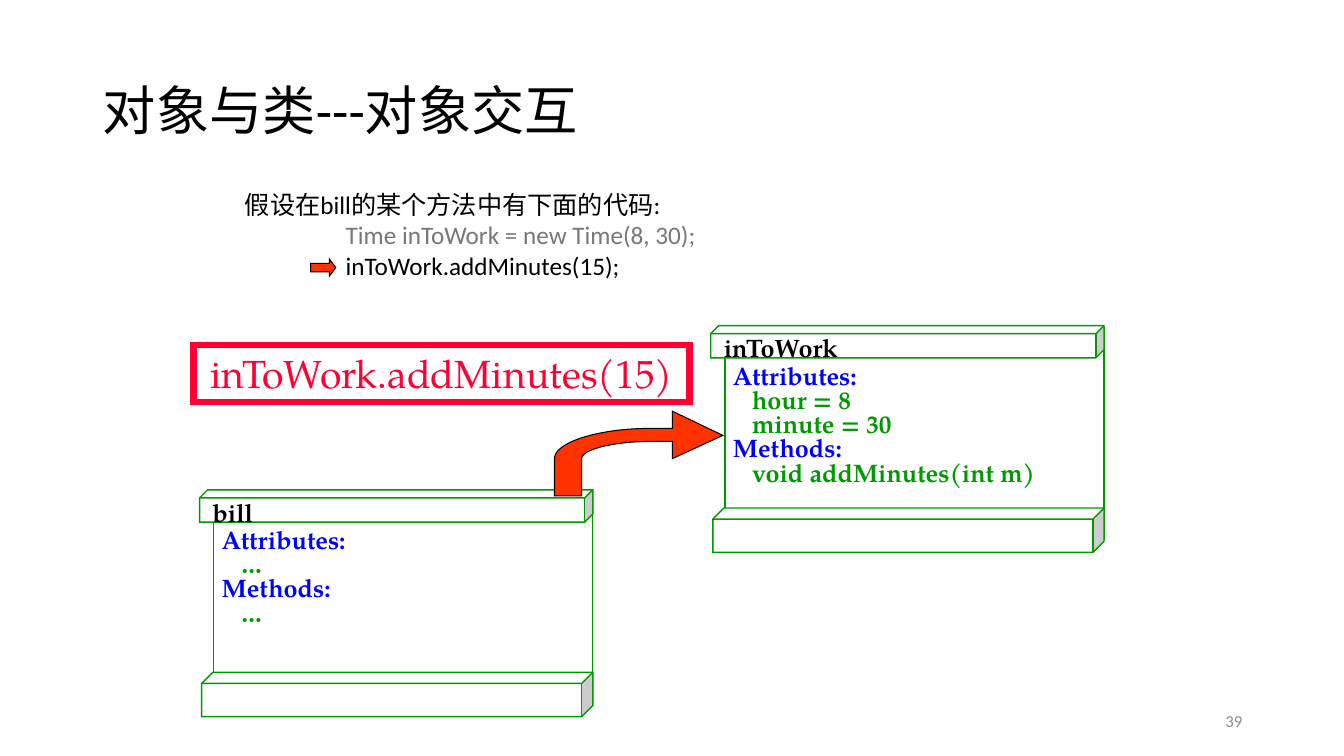
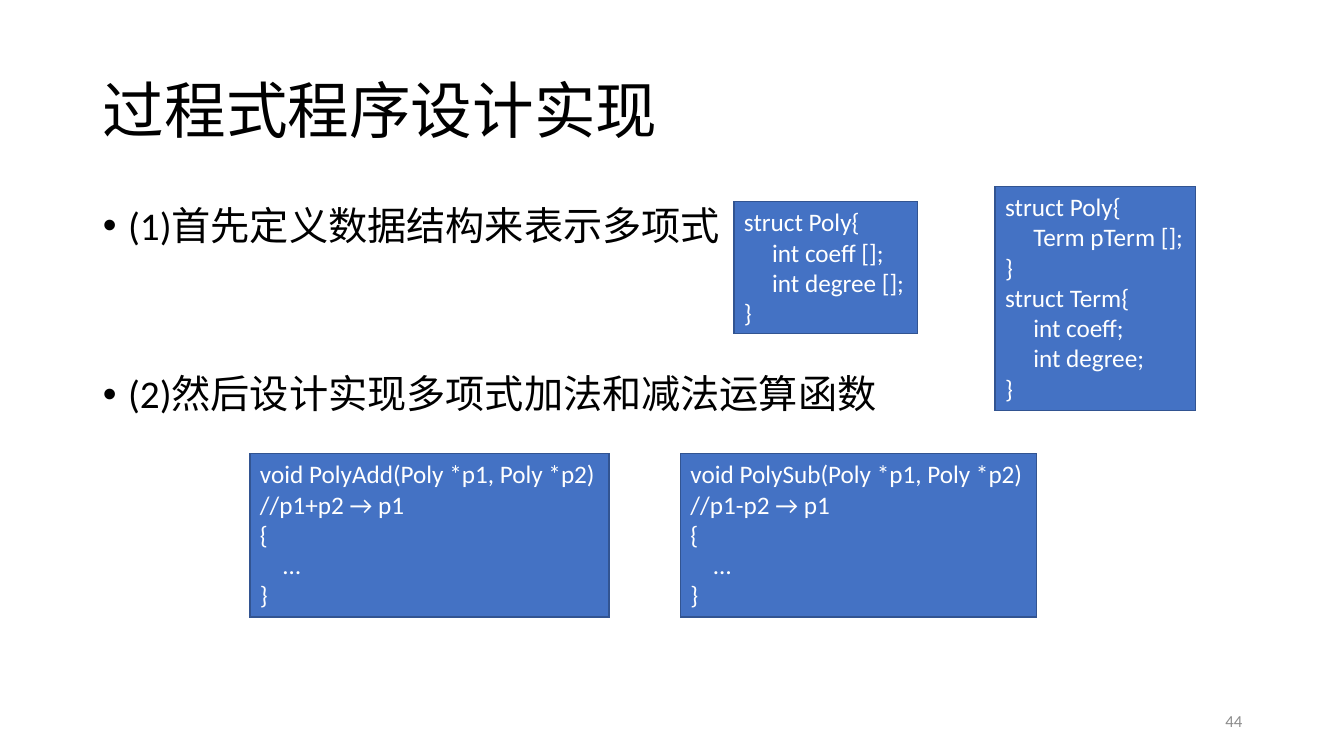
from lxml.etree import SubElement
from pptx import Presentation
from pptx.dml.color import RGBColor
from pptx.enum.shapes import MSO_SHAPE as Shape
from pptx.enum.text import MSO_ANCHOR as Anchor, PP_ALIGN as Align
from pptx.oxml.ns import qn
from pptx.util import Inches, Pt

COLORS = {
    "black": "000000", "white": "FFFFFF", "muted": "777777", "number": "8C8C8C",
    "green": "009900", "blue": "0000FF", "red": "FF0033", "arrow": "FF3300",
    "code": "4472C4", "code_line": "325491",
}
SANS, SERIF = "Calibri", "TeX Gyre Pagella"
TITLE_ONLY, TITLE_AND_BODY = 5, 1
MARGIN, CONTENT_WIDTH = 0.92, 11.5
UNITS = 1000  # freeform units per inch

# Content: text lines are (text, indent in inches, colour)
INTERACTION = {
    "title": "对象与类---对象交互", "title_size": 38, "number": 39,
    "intro": [
        ("假设在bill的某个方法中有下面的代码:", 0, "black"),
        ("Time inToWork = new Time(8, 30);", 1, "muted"),
        ("inToWork.addMinutes(15);", 1, "black"),
    ],
    "message": "inToWork.addMinutes(15)",
    # name, left, top, name width, attributes, methods
    "objects": [
        ("inToWork", 7.05, 3.23, 1.38, ["hour = 8", "minute = 30"], ["void addMinutes(int m)"]),
        ("bill", 1.98, 4.86, 0.6, ["…"], ["…"]),
    ],
}
POLYNOMIAL = {
    "title": "过程式程序设计实现", "title_size": 44, "number": 44,
    # text, space before in points
    "steps": [("(1)首先定义数据结构来表示多项式", 10),
              ("(2)然后设计实现多项式加法和减法运算函数", 90)],
    # box, indent of inner lines, code (a leading tab marks an inner line)
    "code": [
        ((7.28, 2, 1.82, 1.31), 0.28,
         ["struct Poly{", "\tint coeff [];", "\tint degree [];", "}"]),
        ((9.87, 1.85, 1.99, 2.22), 0.28,
         ["struct Poly{", "\tTerm pTerm [];", "}",
          "struct Term{", "\tint coeff;", "\tint degree;", "}"]),
        ((2.48, 4.5, 3.56, 1.62), 0.23,
         ["void PolyAdd(Poly *p1, Poly *p2)", "//p1+p2 → p1", "{", "\t…", "}"]),
        ((6.75, 4.5, 3.53, 1.62), 0.23,
         ["void PolySub(Poly *p1, Poly *p2)", "//p1-p2 → p1", "{", "\t…", "}"]),
    ],
}


def rgb(name):
    return RGBColor.from_string(COLORS[name])


def inches(box):
    return [Inches(value) for value in box]


def place(shape, box):
    shape.left, shape.top, shape.width, shape.height = inches(box)


def indent(paragraph, left, first=0):
    properties = paragraph._p.get_or_add_pPr()
    properties.set("marL", str(Inches(left)))
    properties.set("indent", str(Inches(first)))


def write(shape, lines, size=18, font=SANS, bold=False, align=Align.LEFT,
          spacing=None, wrap=True, anchor=Anchor.TOP):
    """Fill a shape with (text, indent, colour) lines, one paragraph each."""
    frame = shape.text_frame
    frame.word_wrap, frame.vertical_anchor = wrap, anchor
    frame.text = "\n".join(text for text, _, _ in lines)
    for paragraph, (_, left, color) in zip(frame.paragraphs, lines):
        paragraph.alignment = align
        paragraph.font.name, paragraph.font.size = font, Pt(size)
        paragraph.font.bold = bold
        paragraph.font.color.rgb = rgb(color)
        if left:
            indent(paragraph, left)
        if spacing:
            paragraph.line_spacing = spacing


def style(shape, fill, line, width):
    """Flat fill and a line with square corners."""
    shape.shadow.inherit = False
    if fill:
        shape.fill.solid()
        shape.fill.fore_color.rgb = rgb(fill)
    else:
        shape.fill.background()
    shape.line.color.rgb = rgb(line)
    shape.line.width = Pt(width)
    SubElement(shape._element.spPr.find(qn("a:ln")), qn("a:miter"), lim="800000")


def add_block(slide, kind, box, fill, line, width=1):
    shape = slide.shapes.add_shape(kind, *inches(box))
    style(shape, fill, line, width)
    return shape


def add_text(slide, box, lines, **options):
    write(slide.shapes.add_textbox(*inches(box)), lines, **options)


def add_slide(presentation, layout, content):
    """Slide with the shared title style and page number."""
    slide = presentation.slides.add_slide(presentation.slide_layouts[layout])
    place(slide.shapes.title, (MARGIN, 0.4, CONTENT_WIDTH, 1.45))
    write(slide.shapes.title, [(content["title"], 0, "black")],
          size=content["title_size"], spacing=0.9, anchor=Anchor.MIDDLE)
    add_text(slide, (9.42, 6.95, 3, 0.4), [(str(content["number"]), 0, "number")],
             size=12, align=Align.RIGHT, anchor=Anchor.MIDDLE)
    return slide


def add_object(slide, name, left, top, name_width, attributes, methods):
    """Scroll-like panel: sheet, top bar, bottom bar, name and members."""
    for kind, box in [
        (Shape.RECTANGLE, (left + 0.14, top + 0.02, 3.76, 2.1)),
        (Shape.CUBE, (left, top, 3.9, 0.32)),
        (Shape.CUBE, (left + 0.02, top + 1.81, 3.88, 0.44)),
    ]:
        add_block(slide, kind, box, "white", "green")
    add_text(slide, (left + 0.03, top + 0.02, name_width, 0.4), [(name, 0, "black")],
             font=SERIF, bold=True, wrap=False)
    members = []
    for heading, entries in (("Attributes:", attributes), ("Methods:", methods)):
        members.append((heading, 0, "blue"))
        members += [(entry, 0.19, "green") for entry in entries]
    add_text(slide, (left + 0.12, top + 0.35, 3.61, 1.31), members,
             font=SERIF, bold=True, spacing=0.8)


def curve(start, control_1, control_2, end, steps=24):
    """Points of a cubic curve after its start."""
    points = []
    for step in range(1, steps + 1):
        t = step / steps
        weights = ((1 - t) ** 3, 3 * t * (1 - t) ** 2, 3 * t * t * (1 - t), t ** 3)
        points.append(tuple(
            sum(weight * value for weight, value in zip(weights, axis))
            for axis in zip(start, control_1, control_2, end)))
    return points


def add_bent_arrow(slide):
    outline = [(7.17, 4.32), (6.67, 4.08), (6.67, 4.25), (6.46, 4.25)]
    outline += curve((6.46, 4.25), (5.93, 4.25), (5.5, 4.39), (5.5, 4.55))
    outline += [(5.5, 4.92), (5.77, 4.92), (5.77, 4.55)]
    outline += curve((5.77, 4.55), (5.77, 4.46), (6.08, 4.38), (6.46, 4.38))
    outline += [(6.67, 4.38), (6.67, 4.55)]
    points = [(round(x * UNITS), round(y * UNITS)) for x, y in outline]
    builder = slide.shapes.build_freeform(*points[0], scale=Inches(1) / UNITS)
    builder.add_line_segments(points[1:], close=True)
    style(builder.convert_to_shape(), "arrow", "black", 0.75)


def build_interaction(presentation):
    slide = add_slide(presentation, TITLE_ONLY, INTERACTION)
    for item in INTERACTION["objects"]:
        add_object(slide, *item)
    message = add_block(slide, Shape.RECTANGLE, (1.92, 3.42, 4.92, 0.57), None, "red", 4.5)
    write(message, [(INTERACTION["message"], 0, "red")], size=28, font=SERIF,
          align=Align.CENTER)
    add_bent_arrow(slide)
    add_text(slide, (2.33, 1.83, 6.92, 1), INTERACTION["intro"])
    pointer = add_block(slide, Shape.RIGHT_ARROW, (3.08, 2.57, 0.25, 0.17),
                        "arrow", "black", 0.75)
    pointer.adjustments[1] = 0.375


def build_polynomial(presentation):
    slide = add_slide(presentation, TITLE_AND_BODY, POLYNOMIAL)
    # Numbered steps
    body = slide.placeholders[1]
    place(body, (MARGIN, 2, CONTENT_WIDTH, 4.76))
    steps = POLYNOMIAL["steps"]
    write(body, [(text, 0, "black") for text, _ in steps], size=28, spacing=0.9)
    for paragraph, (_, gap) in zip(body.text_frame.paragraphs, steps):
        indent(paragraph, 0.25, -0.25)
        paragraph.space_before = Pt(gap)
    # Code boxes
    for box, inner, code in POLYNOMIAL["code"]:
        block = add_block(slide, Shape.RECTANGLE, box, "code", "code_line")
        write(block, [(line.lstrip("\t"), inner if line.startswith("\t") else 0, "white")
                      for line in code], wrap=False)


def main():
    presentation = Presentation()
    presentation.slide_width, presentation.slide_height = Inches(13.33), Inches(7.5)
    build_interaction(presentation)
    build_polynomial(presentation)
    presentation.save("out.pptx")


if __name__ == "__main__":
    main()
